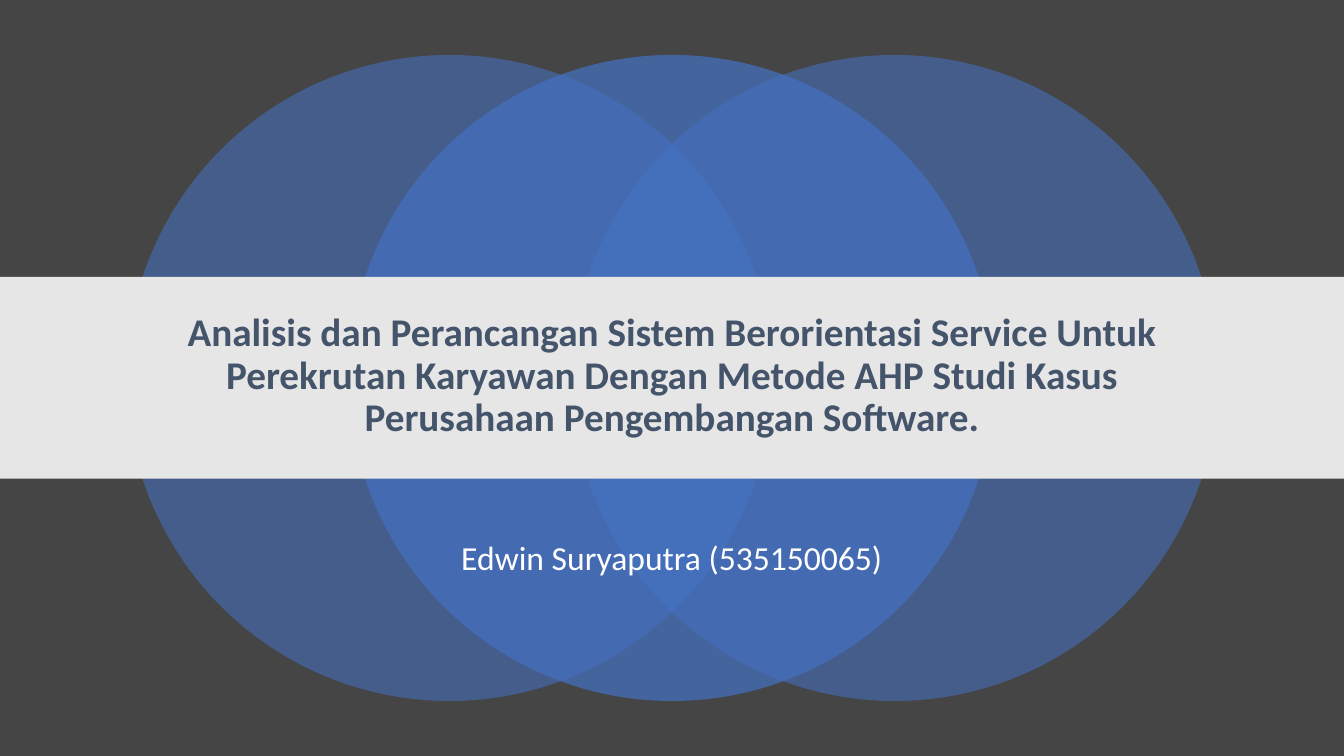
from lxml import etree
from pptx import Presentation
from pptx import util as u
from pptx.dml.color import RGBColor
from pptx.enum import shapes, text
from pptx.oxml.ns import qn

COLOURS = {
    "background": "454545",
    "circle": "4472C4",
    "band": "E7E6E6",
    "title": "44546A",
    "author": "FFFFFF",
}
WIDTH, HEIGHT = 33.87, 19.05
DIAMETER, STEP = 16.28, 5.61


class TitlePage:
    """Holds the style and the current slide, and adds elements to it."""

    font = "Calibri"

    def __init__(self, deck):
        self.page = deck.slides.add_slide(deck.slide_layouts[0])
        fill = self.page.background.fill
        fill.solid()
        fill.fore_color.rgb = self.colour("background")

    def colour(self, name):
        return RGBColor.from_string(COLOURS[name])

    def shape(self, parent, kind, left, top, width, height, colour):
        shape = parent.shapes.add_shape(
            kind, u.Cm(left), u.Cm(top), u.Cm(width), u.Cm(height))
        shape.shadow.inherit = False
        shape.fill.solid()
        shape.fill.fore_color.rgb = self.colour(colour)
        shape.line.fill.background()
        return shape

    def circles(self, opacities):
        group = self.page.shapes.add_group_shape()
        for offset, opacity in opacities:
            left = (WIDTH - DIAMETER) / 2 + offset * STEP
            circle = self.shape(group, shapes.MSO_SHAPE.OVAL, left,
                                (HEIGHT - DIAMETER) / 2, DIAMETER, DIAMETER, "circle")
            colour = circle.fill._xPr.find(qn("a:solidFill"))[0]
            etree.SubElement(colour, qn("a:alpha"), val=str(opacity * 1000))

    def band(self, top, height):
        self.shape(self.page, shapes.MSO_SHAPE.RECTANGLE, 0, top, WIDTH, height, "band")

    def placeholder(self, index, wording, top, height, size, colour, spacing,
                    anchor, inset_top=0.13, inset_bottom=0.13, bold=False):
        box = self.page.placeholders[index]
        self.page.shapes.element.append(box.element)
        box.left, box.top = u.Cm(4.23), u.Cm(top)
        box.width, box.height = u.Cm(25.4), u.Cm(height)
        frame = box.text_frame
        frame.text = wording
        frame.word_wrap = True
        frame.auto_size = text.MSO_AUTO_SIZE.NONE
        frame.vertical_anchor = anchor
        frame.margin_top, frame.margin_bottom = u.Cm(inset_top), u.Cm(inset_bottom)
        para = frame.paragraphs[0]
        para.alignment = text.PP_ALIGN.CENTER
        para.line_spacing = spacing
        para.space_before = u.Pt(0)
        span = para.runs[0]
        span.font.name = self.font
        span.font.size = u.Pt(size)
        span.font.bold = bold
        span.font.color.rgb = self.colour(colour)


def main():
    deck = Presentation()
    deck.slide_width, deck.slide_height = u.Cm(WIDTH), u.Cm(HEIGHT)
    page = TitlePage(deck)
    page.circles([(-1, 55), (1, 55), (0, 70)])
    page.band(6.98, 5.08)
    page.placeholder(
        0, "Analisis dan Perancangan Sistem Berorientasi Service Untuk Perekrutan "
        "Karyawan Dengan Metode AHP Studi Kasus Perusahaan Pengembangan Software.",
        7.29, 5.59, 28, "title", 0.9, text.MSO_ANCHOR.MIDDLE,
        inset_bottom=1.32, bold=True)
    page.placeholder(
        1, "Edwin Suryaputra (535150065)", 12.5, 2.11, 24, "author", 0.8,
        text.MSO_ANCHOR.TOP, inset_top=1.23)
    deck.save("out.pptx")


if __name__ == "__main__":
    main()
